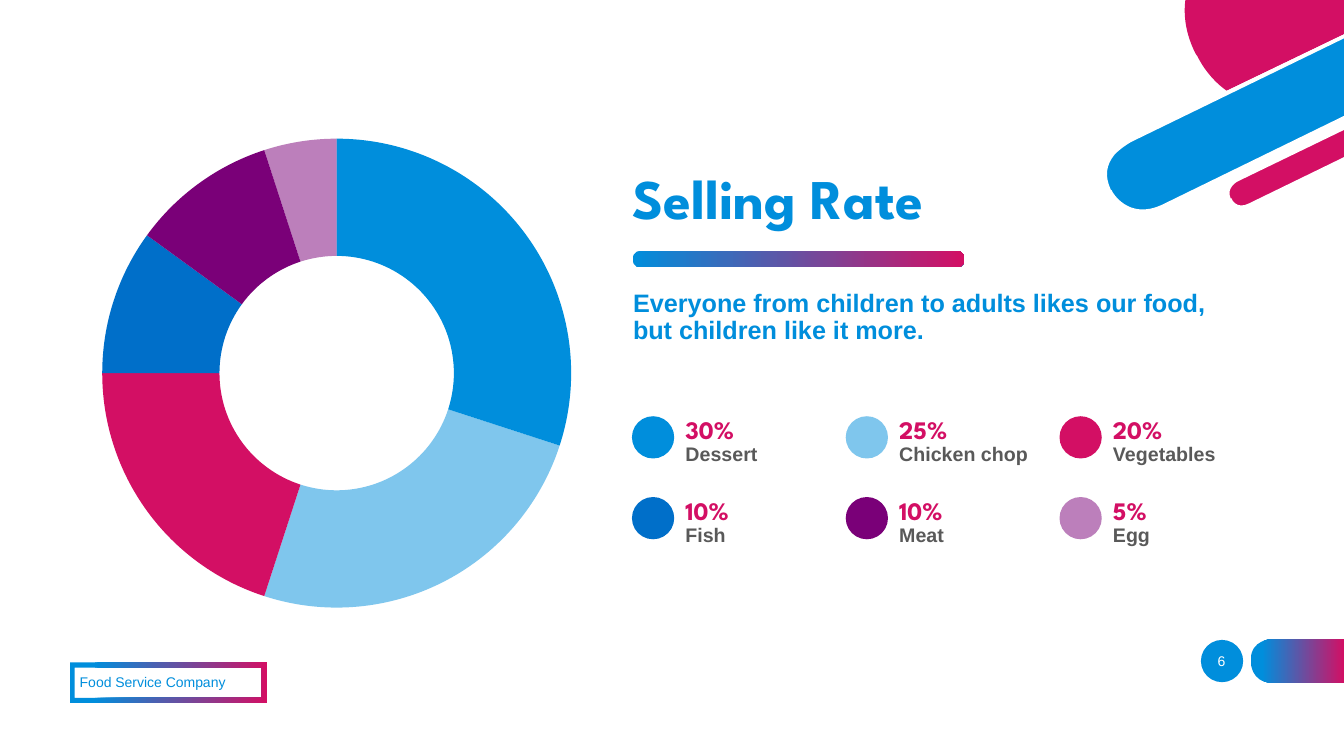
from lxml.etree import SubElement
from pptx import Presentation
from pptx.chart.data import CategoryChartData
from pptx.dml.color import RGBColor
from pptx.enum.chart import XL_CHART_TYPE
from pptx.enum.shapes import MSO_SHAPE
from pptx.enum.text import MSO_ANCHOR, PP_ALIGN
from pptx.oxml import parse_xml
from pptx.oxml.ns import nsdecls, qn
from pptx.util import Pt

BLUE, PINK, NAVY, PURPLE = "008EDC", "D30F64", "006FC9", "7A0078"
GREY, WHITE = "595959", "FFFFFF"
HEADING_FONT, BODY_FONT = "League Spartan", "Arial"

# Food, share in percent, colour, opacity in percent
SALES = [
    ("Dessert", 30, BLUE, 100), ("Chicken chop", 25, BLUE, 50),
    ("Vegetables", 20, PINK, 100), ("Fish", 10, NAVY, 100),
    ("Meat", 10, PURPLE, 100), ("Egg", 5, PURPLE, 50),
]

# Outlines: pairs are corners, sextets are Bézier curves
PINK_RIM = [
    (172, 58.3), (152.3, 67.7), (129.3, 79.2, 107.7, 77.8, 89.7, 64.1),
    (75.3, 53.3, 68.1, 39.6, 68.1, 39.6), (67.4, 37.4),
    (60.9, 24.5, 58, 11.5, 60.2, 0), (57.3, 0),
    (55.1, 12.2, 58, 25.2, 64.5, 38.9), (65.9, 41),
    (65.9, 41.8, 73.1, 55.4, 87.5, 66.2), (96.2, 72.7, 107.7, 78.5, 122.8, 78.5),
    (131.4, 78.5, 141.5, 76.3, 153.8, 70.6), (172, 61.9),
]
BLUE_BAR = [
    (19.1, 100.1), (19.1, 100.1, -6.8, 113, 4.7, 136.1), (4.7, 136.8),
    (4.7, 136.8, 16.2, 159.8, 42.9, 146.9), (172, 84.2), (172, 25.9),
]
PINK_DISC = [
    (67.4, 40.3), (67.4, 40.3, 73.8, 54.7, 88.2, 64.8), (172, 24.5), (172, 0),
    (58.7, 0), (57.3, 10.8, 58.7, 23.8, 65.9, 38.2),
]
PINK_BAR = [
    (172, 90.7), (95.4, 128.2), (95.4, 128.2, 85.4, 133.2, 90.4, 141.8),
    (90.4, 142.6), (90.4, 142.6, 94.7, 151.9, 104.8, 146.9), (172, 113.8),
]
PINK_BAR_RIM = [
    (104.1, 145.4), (95.4, 149.8, 91.8, 142.6, 91.8, 141.8), (91.1, 141.8),
    (87.5, 133.9, 96.2, 129.6, 96.2, 129.6), (172, 92.9), (172, 89.3),
    (94.7, 126.7), (94.7, 126.7, 89.7, 129.6, 88.2, 134.6),
    (86.8, 137.5, 87.5, 140.4, 89, 143.3), (90.4, 146.2, 94, 149.8, 99, 149.8),
    (101.2, 149.8, 103.4, 149.8, 105.5, 148.3), (172, 115.9), (172, 112.3),
]
BLUE_BAR_RIM = [
    (42.2, 146.2), (17.7, 157.7, 6.2, 136.8, 6.2, 136.1), (5.4, 135.4),
    (1.1, 126, 1.8, 118.1, 8.3, 110.2), (13.4, 105.1, 19.8, 101.5, 19.8, 101.5),
    (172, 27.4), (172, 24.5), (18.4, 98.6),
    (17.7, 99.4, 5.4, 105.1, 1.1, 117.4), (-1, 123.1, -0.3, 129.6, 3.3, 136.8),
    (3.3, 137.5), (3.3, 137.5, 11.2, 152.6, 27.8, 152.6),
    (32.1, 152.6, 37.1, 151.2, 42.9, 148.3), (172, 85.7), (172, 82.8),
]
PAGE_TAB = [
    (15, 31), (67, 31), (67, 0), (15, 0), (15, 0, 0, 0, 0, 15), (0, 16),
    (0, 16, 0, 31, 15, 31),
]


def rgb(colour):
    return RGBColor.from_string(colour)


def paint(fill, colour, opacity=100):
    fill.solid()
    fill.fore_color.rgb = rgb(colour)
    if opacity < 100:
        # The fill has no public opacity setting
        tint = fill._xPr.find(qn("a:solidFill"))[0]
        SubElement(tint, qn("a:alpha")).set("val", str(opacity * 1000))


def paint_blend(fill, start=0):
    fill.gradient()
    fill.gradient_angle = 0
    for stop, colour, position in zip(fill.gradient_stops, (BLUE, PINK), (start, 1)):
        stop.color.rgb = rgb(colour)
        stop.position = position


def strip(shape):
    shape.shadow.inherit = False
    shape.line.fill.background()
    return shape


def add_preset(slide, kind, left, top, width, height):
    return strip(slide.shapes.add_shape(kind, Pt(left), Pt(top), Pt(width), Pt(height)))


def add_outline(slide, left, top, outline):
    corners = [(Pt(left + part[-2]), Pt(top + part[-1])) for part in outline]
    builder = slide.shapes.build_freeform(*corners[0])
    builder.add_line_segments(corners[1:], close=True)
    shape = strip(builder.convert_to_shape())
    # Bend the curved segments
    segments = list(shape._element.iter(qn("a:lnTo")))
    for segment, part in zip(segments, outline[1:]):
        if len(part) == 6:
            segment.tag = qn("a:cubicBezTo")
            for position, index in enumerate((0, 2)):
                control = SubElement(segment, qn("a:pt"))
                control.set("x", str(Pt(left + part[index]) - shape.left))
                control.set("y", str(Pt(top + part[index + 1]) - shape.top))
                segment.insert(position, control)
    return shape


def add_text(slide, text, left, top, width, height, size=10, font=BODY_FONT, colour=BLUE,
             bold=False, anchor=MSO_ANCHOR.TOP, align=PP_ALIGN.LEFT, spacing=1, before=0):
    frame = slide.shapes.add_textbox(Pt(left), Pt(top), Pt(width), Pt(height)).text_frame
    frame.word_wrap = True
    frame.vertical_anchor = anchor
    paragraph = frame.paragraphs[0]
    paragraph.alignment = align
    paragraph.line_spacing = spacing
    paragraph.space_before = Pt(before)
    run = paragraph.add_run()
    run.text = text
    run.font.name, run.font.size, run.font.bold = font, Pt(size), bold
    run.font.color.rgb = rgb(colour)


def add_corner_art(slide, left, top):
    for outline, colour in ((PINK_RIM, WHITE), (BLUE_BAR, BLUE), (PINK_DISC, PINK),
                            (PINK_BAR, PINK), (PINK_BAR_RIM, WHITE), (BLUE_BAR_RIM, WHITE)):
        paint(add_outline(slide, left, top, outline).fill, colour)


def add_sales_ring(slide, left, top, width, height):
    data = CategoryChartData()
    data.categories = [str(number) for number in range(1, len(SALES) + 1)]
    data.add_series("Series 1", [share for _, share, *_ in SALES])
    chart = slide.shapes.add_chart(XL_CHART_TYPE.DOUGHNUT, Pt(left), Pt(top),
                                   Pt(width), Pt(height), data).chart
    chart.has_legend = chart.has_title = False
    chart.font.name, chart.font.size = BODY_FONT, Pt(10)
    chart.font.color.rgb = rgb("000000")
    plot = chart.plots[0]
    plot.vary_by_categories = True
    for index, (_, _, colour, opacity) in enumerate(SALES):
        form = plot.series[0].points[index].format
        paint(form.fill, colour, opacity)
        form.line.fill.background()
    # Hole size and a centred square plot area
    plot_area = chart._chartSpace.chart.plotArea
    plot_area.find(".//" + qn("c:holeSize")).set("val", "52")
    diameter = 335
    w, h = diameter / width, diameter / height
    places = (("x", (1 - w) / 2), ("y", (1 - h) / 2), ("w", w), ("h", h))
    layout = (f'<c:layout {nsdecls("c")}><c:manualLayout><c:layoutTarget val="inner"/>'
              '<c:xMode val="edge"/><c:yMode val="edge"/>'
              + "".join(f'<c:{key} val="{value:.4f}"/>' for key, value in places)
              + "</c:manualLayout></c:layout>")
    for default in plot_area.findall(qn("c:layout")):
        plot_area.remove(default)
    plot_area.insert(0, parse_xml(layout))


def add_heading(slide, left, top):
    add_text(slide, "Selling Rate", left, top, 346.3, 53.3, size=40, font=HEADING_FONT,
             bold=True, anchor=MSO_ANCHOR.BOTTOM, spacing=0.9)
    rule = add_preset(slide, MSO_SHAPE.ROUNDED_RECTANGLE, left + 7.3, top + 63.4, 236.9, 11.8)
    rule.adjustments[0] = 0.45
    paint_blend(rule.fill)
    add_text(slide, "Everyone from children to adults likes our food, but children like it more.",
             left + 0.5, top + 88.1, 443.5, 65.5, size=18, bold=True, spacing=0.9, before=10)


def add_legend(slide, left, top, columns=3, column_pitch=152.7, row_pitch=57.7):
    for index, (food, share, colour, opacity) in enumerate(SALES):
        row, column = divmod(index, columns)
        x, y = left + column * column_pitch, top + row * row_pitch
        paint(add_preset(slide, MSO_SHAPE.OVAL, x, y, 30.2, 30.2).fill, colour, opacity)
        add_text(slide, f"{share}%", x + 31.1, y - 4.6, 126, 28.8, size=18, font=HEADING_FONT,
                 colour=PINK, bold=True, anchor=MSO_ANCHOR.BOTTOM, spacing=0.9, before=10)
        add_text(slide, food, x + 31.1, y + 16.6, 126, 28.8, size=14, colour=GREY,
                 bold=True, spacing=0.9, before=6)


def add_footer(slide, left, top, width):
    # Company name in its frame
    add_text(slide, "Food Service Company", left + 0.2, top - 32.3, 457.9, 92.2,
             anchor=MSO_ANCHOR.MIDDLE)
    paint_blend(add_preset(slide, MSO_SHAPE.FRAME, left, top, 141.1, 29).fill, 0.12)
    # Page number and edge tab
    right = left + width
    paint(add_preset(slide, MSO_SHAPE.OVAL, right - 102.2, top - 16.1, 30.2, 30.2).fill, BLUE)
    add_text(slide, "6", right - 109, top - 15.4, 43.2, 28.8, colour=WHITE,
             anchor=MSO_ANCHOR.MIDDLE, align=PP_ALIGN.CENTER)
    paint_blend(add_outline(slide, right - 66.6, top - 16.6, PAGE_TAB).fill, 0.12)


def main():
    deck = Presentation()
    deck.slide_width, deck.slide_height = Pt(960), Pt(540)
    slide = deck.slides.add_slide(deck.slide_layouts[6])
    add_corner_art(slide, 788, 0)
    add_sales_ring(slide, 63, 85.9, 355, 361.4)
    add_heading(slide, 444.6, 115.9)
    add_legend(slide, 451.4, 297.3)
    add_footer(slide, 49.7, 473.2, 910.3)
    deck.save("out.pptx")


if __name__ == "__main__":
    main()
